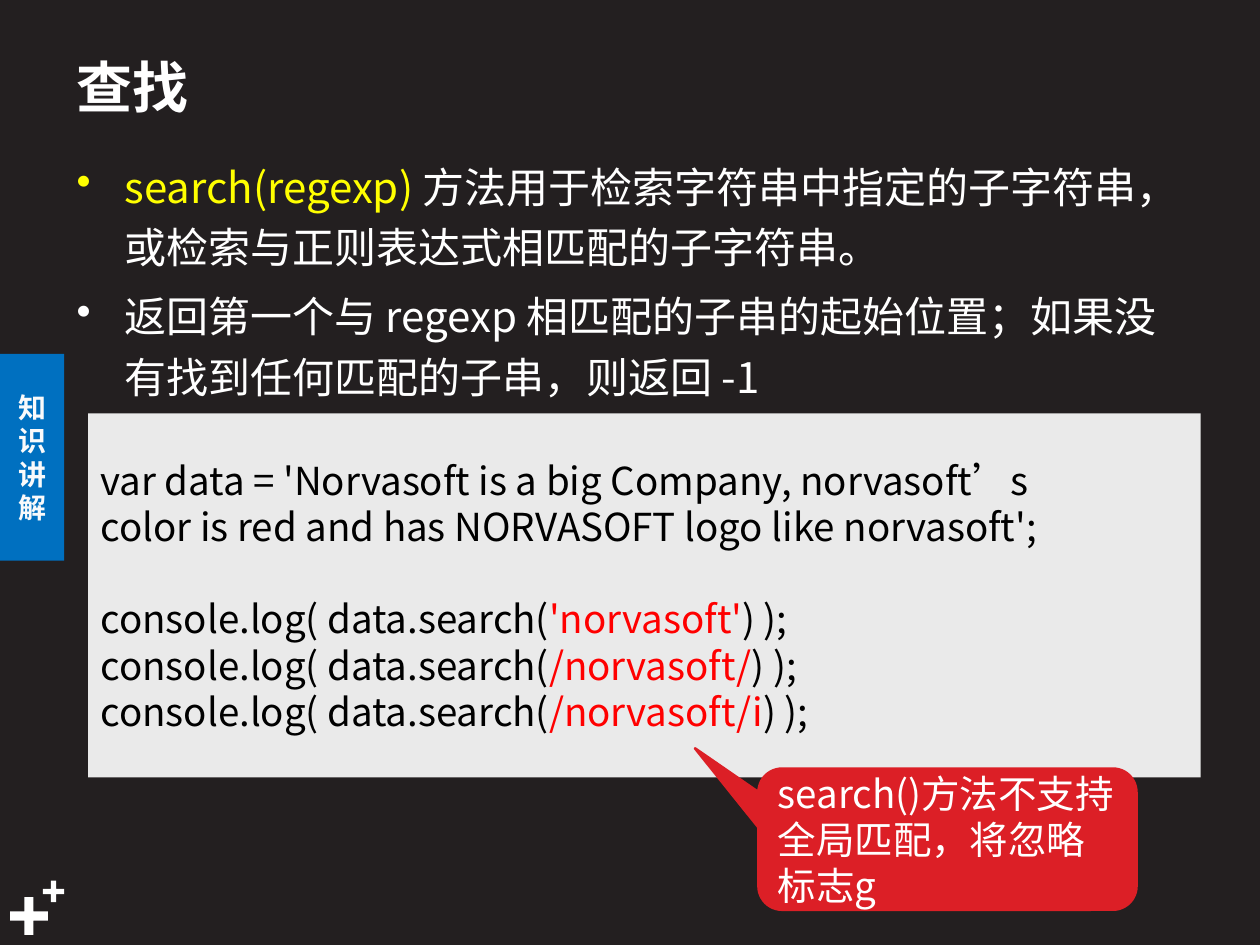
from lxml import etree
from pptx import Presentation
from pptx.dml.color import RGBColor
from pptx.enum.shapes import MSO_SHAPE as Shape
from pptx.enum.text import MSO_ANCHOR as Anchor, PP_ALIGN as Align
from pptx.oxml.ns import qn
from pptx.util import Inches, Pt

FONT = "Noto Sans CJK SC"
BACKGROUND = RGBColor(0x23, 0x1F, 0x20)
WHITE = RGBColor(0xFF, 0xFF, 0xFF)
OFF_WHITE = RGBColor(0xF9, 0xFA, 0xFB)
BLACK = RGBColor(0, 0, 0)
BLUE = RGBColor(0x00, 0x70, 0xC0)
YELLOW = RGBColor(0xFF, 0xFF, 0x00)
RED = RGBColor(0xFF, 0x00, 0x00)
CALLOUT_RED = RGBColor(0xDC, 0x1F, 0x26)
CODE_GRAY = RGBColor(0xEA, 0xEA, 0xEA)

BULLETS = [
    [("search(regexp) ", YELLOW),
     ("方法用于检索字符串中指定的子字符串，或检索与正则表达式相匹配的子字符串。", WHITE)],
    [("返回第一个与 regexp 相匹配的子串的起始位置；如果没有找到任何匹配的子串，则返回 -1", WHITE)],
]
DECLARATION = [
    "var data = 'Norvasoft is a big Company, norvasoft’s ",
    "color is red and has NORVASOFT logo like norvasoft';",
]
PATTERNS = ["'norvasoft'", "/norvasoft/", "/norvasoft/i"]


def add_panel(slide, kind, box, fill, adjustments=()):
    """Add a flat preset shape without outline."""
    panel = slide.shapes.add_shape(kind, *map(Inches, box))
    panel.shadow.inherit = False
    panel.fill.solid()
    panel.fill.fore_color.rgb = fill
    panel.line.fill.background()
    for index, value in enumerate(adjustments):
        panel.adjustments[index] = value
    return panel


def add_text_box(slide, box):
    """Add an empty text box."""
    return slide.shapes.add_textbox(*map(Inches, box))


def write(holder, lines, size, bold=False, align=Align.LEFT,
          anchor=Anchor.MIDDLE, wrap=True):
    """Fill a shape with lines of (text, colour) runs; return the paragraphs."""
    frame = holder.text_frame
    frame.word_wrap = wrap
    frame.vertical_anchor = anchor
    for index, line in enumerate(lines):
        paragraph = frame.add_paragraph() if index else frame.paragraphs[0]
        paragraph.alignment = align
        font = paragraph.font
        font.name, font.size, font.bold = FONT, Pt(size), bold
        font.color.rgb = line[0][1]
        defaults = paragraph._p.pPr.find(qn("a:defRPr"))
        etree.SubElement(defaults, qn("a:ea"), typeface=FONT)
        for text, color in line:
            run = paragraph.add_run()
            run.text = text
            if color != line[0][1]:
                run.font.color.rgb = color
    return frame.paragraphs


def add_bullet(paragraph, indent):
    """Give a paragraph a hanging round bullet."""
    properties = paragraph._p.get_or_add_pPr()
    properties.set("marL", str(indent))
    properties.set("indent", str(-indent))
    bullet = etree.Element(qn("a:buChar"), char="•")
    properties.find(qn("a:defRPr")).addprevious(bullet)


def add_frame(slide):
    """Add the background, the corner plus signs and the section tab."""
    slide.background.fill.solid()
    slide.background.fill.fore_color.rgb = BACKGROUND
    for left, top, side in [(0.08, 7.12, 0.3), (0.34, 6.99, 0.17)]:
        add_panel(slide, Shape.CROSS, (left, top, side, side), WHITE, [0.378])
    tab = add_panel(slide, Shape.RECTANGLE, (0, 2.81, 0.51, 1.64), BLUE)
    write(tab, [[("知识讲解", OFF_WHITE)]], 16, bold=True, align=Align.CENTER)


def add_explanation(slide):
    """Add the title and the bulleted description."""
    title = add_text_box(slide, (0.51, 0.29, 7.4, 0.78))
    write(title, [[("查找", WHITE)]], 32, bold=True)
    body = add_text_box(slide, (0.51, 1.15, 8.82, 2.12))
    for paragraph in write(body, BULLETS, 24, anchor=Anchor.TOP):
        paragraph.line_spacing = 1.2
        paragraph.space_before = Pt(5)
        add_bullet(paragraph, Inches(0.38))


def add_code(slide):
    """Add the code panel with the highlighted search patterns."""
    lines = [[(text, BLACK)] for text in DECLARATION]
    lines += [[("console.log( data.search(", BLACK), (pattern, RED), (") );", BLACK)]
              for pattern in PATTERNS]
    code = add_panel(slide, Shape.RECTANGLE, (0.7, 3.28, 8.83, 2.89), CODE_GRAY)
    paragraphs = write(code, lines, 22, wrap=False)
    paragraphs[len(DECLARATION)].space_before = Pt(26.4)


def add_callout(slide):
    """Add the red note about the global flag."""
    note = add_panel(slide, Shape.ROUNDED_RECTANGULAR_CALLOUT, (6.02, 6.1, 3, 1.12),
                     CALLOUT_RED, [-0.668, -0.644, 0.167])
    note.line.color.rgb = CALLOUT_RED
    note.line.width = Pt(1.5)
    write(note, [[("search()方法不支持全局匹配，将忽略标志g", WHITE)]], 22)


def main():
    """Build and save the slide."""
    deck = Presentation()
    deck.slide_width, deck.slide_height = Inches(10), Inches(7.5)
    slide = deck.slides.add_slide(deck.slide_layouts[6])
    add_frame(slide)
    add_explanation(slide)
    add_code(slide)
    add_callout(slide)
    deck.save("out.pptx")


main()
